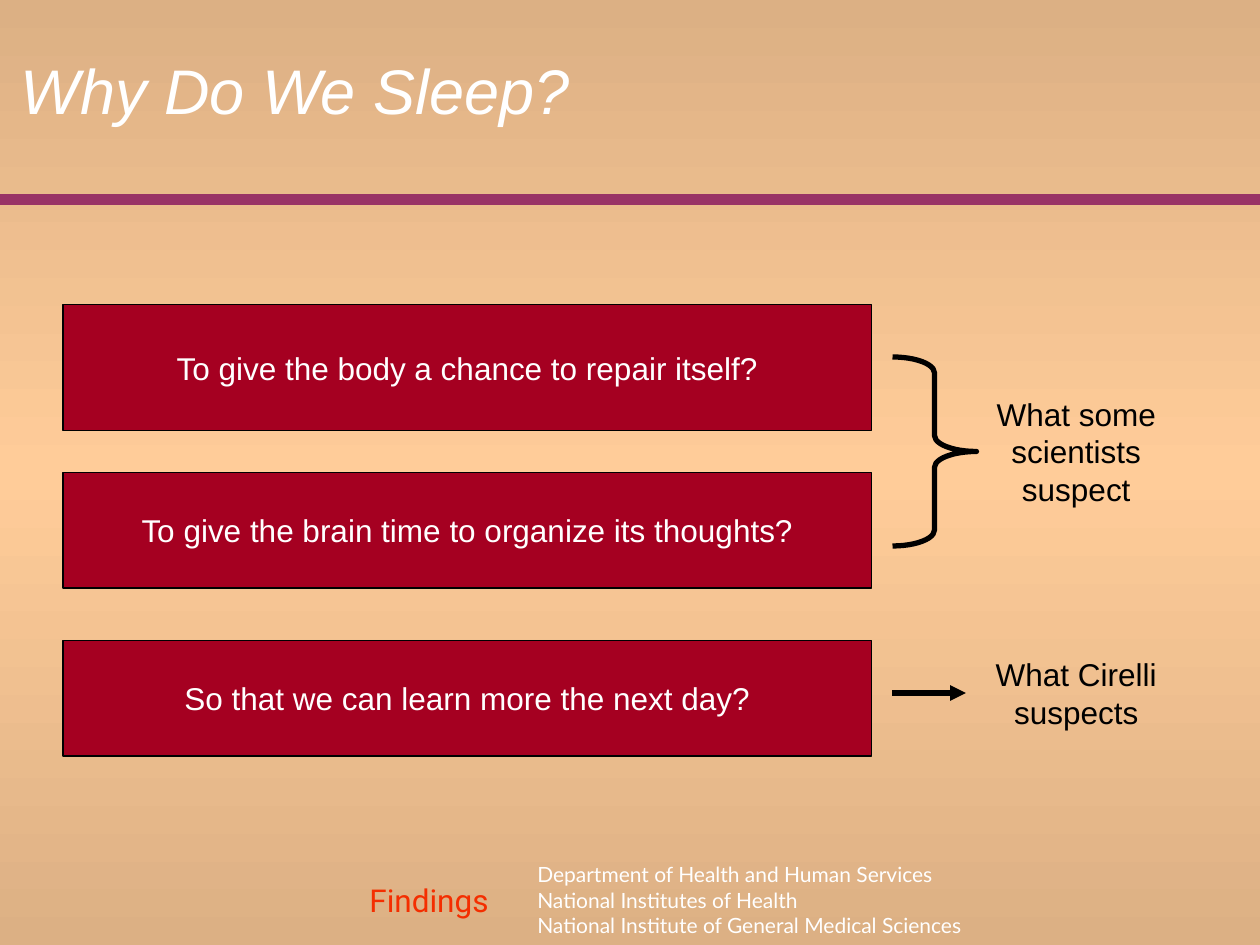
"""Build the slide "Why Do We Sleep?" with three answers and who suspects them."""
from copy import deepcopy

from lxml.etree import SubElement
from pptx import Presentation
from pptx.dml.color import RGBColor
from pptx.enum.shapes import MSO_CONNECTOR, MSO_SHAPE
from pptx.enum.text import MSO_ANCHOR, PP_ALIGN
from pptx.oxml.ns import qn
from pptx.util import Inches, Pt

WHITE, BLACK, CRIMSON, PLUM, ORANGE = "FFFFFF", "000000", "A50021", "993366", "F42E00"
SAND, PEACH = "DCB084", "FFCC99"


def color(value):
    return RGBColor.from_string(value)


def cells(*counts):
    return [Inches(count / 12) for count in counts]


class SlideBuilder:
    def __init__(self, deck, font="Arial", size=18):
        self.page = deck.slides.add_slide(deck.slide_layouts[5])
        self.font, self.size = font, size

    def background(self, *colors):
        fill = self.page.background.fill
        fill.gradient()
        fill.gradient_angle = 90
        stop_list = self.page.element.find(".//" + qn("a:gsLst"))
        for _ in colors[2:]:
            stop_list.append(deepcopy(stop_list[0]))
        for index, (stop, value) in enumerate(zip(fill.gradient_stops, colors)):
            stop.position = index / (len(colors) - 1)
            stop.color.rgb = color(value)

    def add_lines(self, frame, lines, ink, size=None, font=None, align=PP_ALIGN.LEFT,
                  italic=False, before=0, spacing=1.0):
        for index, line in enumerate(lines):
            para = frame.add_paragraph() if index else frame.paragraphs[0]
            para.alignment, para.line_spacing = align, spacing
            para.space_before = Pt(before)
            span = para.add_run()
            span.text = line
            span.font.name, span.font.size = font or self.font, Pt(size or self.size)
            span.font.italic = italic
            span.font.color.rgb = color(ink)

    def title(self, text, area):
        box = self.page.shapes.title
        box.left, box.top, box.width, box.height = cells(*area)
        frame = box.text_frame
        frame.margin_left = frame.margin_right = frame.margin_top = frame.margin_bottom = 0
        frame.vertical_anchor = MSO_ANCHOR.MIDDLE
        self.add_lines(frame, [text], WHITE, size=36, italic=True)

    def text(self, lines, area, ink, **style):
        frame = self.page.shapes.add_textbox(*cells(*area)).text_frame
        frame.word_wrap = True
        self.add_lines(frame, lines, ink, **style)

    def shape(self, kind, area, weight):
        shape = self.page.shapes.add_shape(kind, *cells(*area))
        shape.shadow.inherit = False
        shape.line.color.rgb, shape.line.width = color(BLACK), Pt(weight)
        return shape

    def panel(self, text, area):
        panel = self.shape(MSO_SHAPE.RECTANGLE, area, 0.75)
        panel.fill.solid()
        panel.fill.fore_color.rgb = color(CRIMSON)
        panel.text_frame.word_wrap = False
        panel.text_frame.vertical_anchor = MSO_ANCHOR.MIDDLE
        self.add_lines(panel.text_frame, [text], WHITE, align=PP_ALIGN.CENTER)

    def brace(self, area):
        brace = self.shape(MSO_SHAPE.RIGHT_BRACE, area, 3)
        brace.fill.background()
        brace.adjustments[0], brace.adjustments[1] = 0.19, 0.5

    def line(self, left, right, row, ink, weight, arrow=False):
        line = self.page.shapes.add_connector(MSO_CONNECTOR.STRAIGHT, *cells(left, row, right, row))
        line.line.color.rgb, line.line.width = color(ink), Pt(weight)
        properties = line.element.spPr
        if arrow:
            SubElement(properties.find(qn("a:ln")), qn("a:tailEnd"), type="triangle")
        SubElement(properties, qn("a:effectLst"))


def main():
    deck = Presentation()
    deck.slide_width, deck.slide_height = cells(120, 90)
    slide = SlideBuilder(deck)
    slide.background(SAND, PEACH, SAND)
    slide.line(0, 120, 19, PLUM, 6)
    slide.text(["Findings"], (34, 84, 16, 4), ORANGE, font="Roboto", spacing=0.8)
    slide.text(["Department of Health and Human Services", "National Institutes of Health",
                "National Institute of General Medical Sciences"],
               (50, 81.5, 47, 10.8), WHITE, size=12, font="Lato")
    slide.title("Why Do We Sleep?", (2, 1, 108, 15))

    answers = [("To give the body a chance to repair itself?", 12),
               ("To give the brain time to organize its thoughts?", 11),
               ("So that we can learn more the next day?", 11)]
    for index, (answer, height) in enumerate(answers):
        slide.panel(answer, (6, 29 + 16 * index, 77, height))

    slide.brace((85, 34, 8, 18))
    slide.line(85, 92, 66, BLACK, 3, arrow=True)
    for label, top, height in [("What some scientists suspect", 37, 12),
                               ("What Cirelli suspects", 61.8, 8.4)]:
        slide.text([label], (92, top, 21, height), BLACK, align=PP_ALIGN.CENTER, before=6)
    deck.save("out.pptx")


if __name__ == "__main__":
    main()
